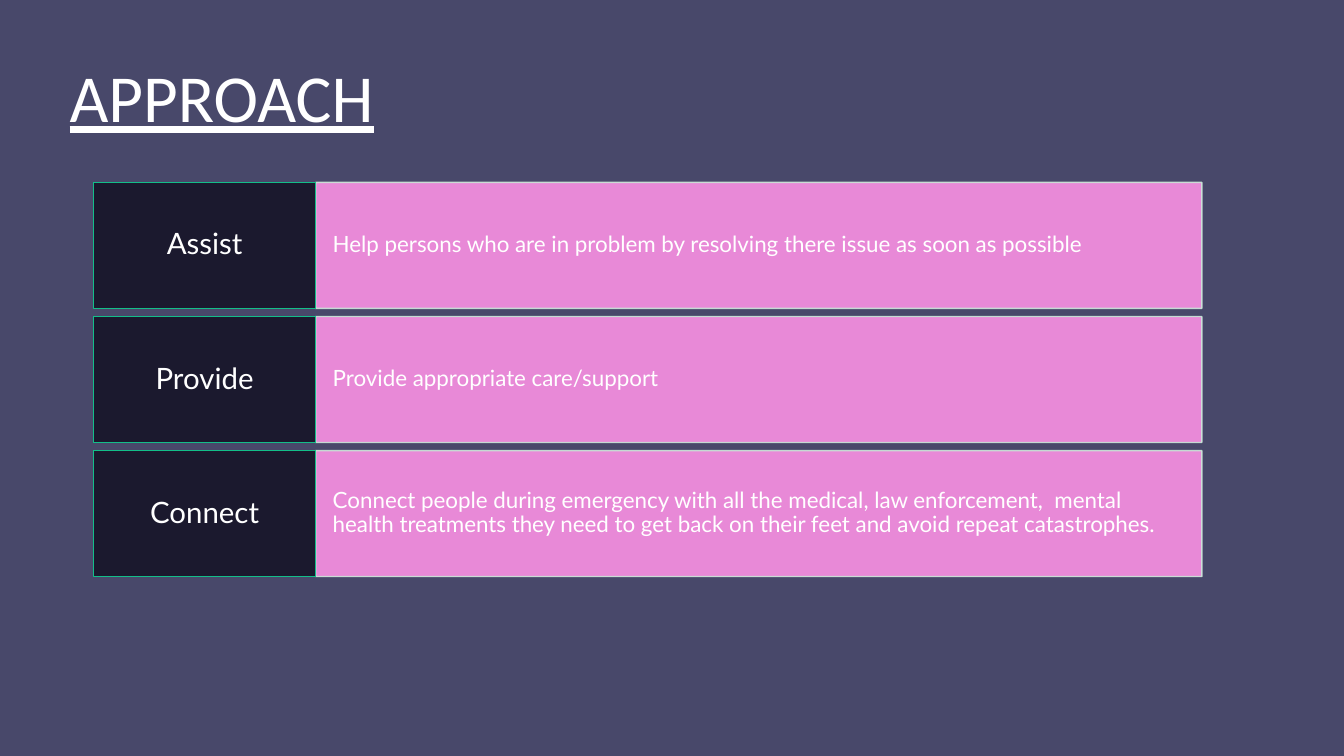
from dataclasses import dataclass

import pptx
import pptx.dml.color
import pptx.enum.shapes
import pptx.enum.text
import pptx.oxml
import pptx.oxml.ns
import pptx.util

Inches = pptx.util.Inches
Pt = pptx.util.Pt
ALIGN = pptx.enum.text.PP_ALIGN
ANCHOR = pptx.enum.text.MSO_ANCHOR

BACKGROUND = "48486A"
WHITE = "FFFFFF"
TOP, ROW_HEIGHT, ROW_PITCH = 1.81, 1.25, 1.33


@dataclass(frozen=True)
class Step:
    name: str
    detail: str


@dataclass(frozen=True)
class Column:
    left: float
    width: float
    fill: str
    line: str
    opacity: int
    size: float
    align: ALIGN
    inset_x: float
    inset_y: float


STEPS = [
    Step("Assist", "Help persons who are in problem by resolving there issue as soon as possible"),
    Step("Provide", "Provide appropriate care/support"),
    Step("Connect", "Connect people during emergency with all the medical, law enforcement,  mental "
         "health treatments they need to get back on their feet and avoid repeat catastrophes."),
]
DETAIL = Column(3.13, 8.79, "FA91E3", "CCE8DA", 90, 16, ALIGN.LEFT, 0.17, 0.32)
NAME = Column(0.93, 2.2, "1B192E", "13BE89", 100, 21, ALIGN.CENTER, 0.12, 0.12)


def rgb(color: str) -> pptx.dml.color.RGBColor:
    return pptx.dml.color.RGBColor.from_string(color)


def paint(fill, color: str, opacity: int = 100) -> None:
    fill.solid()
    fill.fore_color.rgb = rgb(color)
    if opacity < 100:
        # The private element is reached through the public XPath of its parent.
        node = fill._xPr.find(".//" + pptx.oxml.ns.qn("a:srgbClr"))
        alpha = pptx.oxml.parse_xml(
            f'<a:alpha {pptx.oxml.ns.nsdecls("a")} val="{opacity * 1000}"/>')
        node.append(alpha)


def set_frame(tf, anchor: ANCHOR, inset_x: float, inset_y: float) -> None:
    tf.word_wrap = True
    tf.vertical_anchor = anchor
    tf.margin_left = tf.margin_right = Inches(inset_x)
    tf.margin_top = tf.margin_bottom = Inches(inset_y)


def add_run(p, text: str, size: float, font: str):
    r = p.add_run()
    r.text = text
    r.font.size = Pt(size)
    r.font.name = font
    r.font.color.rgb = rgb(WHITE)
    return r


def add_title(slide, text: str) -> None:
    sp = slide.shapes.add_textbox(Inches(0.69), Inches(0.6), Inches(3.22), Inches(0.75))
    set_frame(sp.text_frame, ANCHOR.BOTTOM, 0, 0)
    add_run(sp.text_frame.paragraphs[0], text, 48, "Calibri").font.underline = True


def add_cell(slide, column: Column, top: float, text: str) -> None:
    sp = slide.shapes.add_shape(
        pptx.enum.shapes.MSO_SHAPE.RECTANGLE,
        Inches(column.left), Inches(top), Inches(column.width), Inches(ROW_HEIGHT))
    sp.shadow.inherit = False
    paint(sp.fill, column.fill, column.opacity)
    sp.line.width = Pt(1)
    paint(sp.line.fill, column.line, column.opacity)
    set_frame(sp.text_frame, ANCHOR.MIDDLE, column.inset_x, column.inset_y)
    p = sp.text_frame.paragraphs[0]
    p.alignment = column.align
    p.line_spacing = 0.9
    p.space_after = Pt(column.size * 0.35)
    add_run(p, text, column.size, "Lato")


def main() -> None:
    prs = pptx.Presentation()
    prs.slide_width, prs.slide_height = Inches(13.33), Inches(7.5)
    slide = prs.slides.add_slide(prs.slide_layouts[6])
    paint(slide.background.fill, BACKGROUND)
    add_title(slide, "APPROACH")
    for i, step in enumerate(STEPS):
        top = TOP + i * ROW_PITCH
        add_cell(slide, DETAIL, top, step.detail)
        add_cell(slide, NAME, top, step.name)
    prs.save("out.pptx")


if __name__ == "__main__":
    main()
